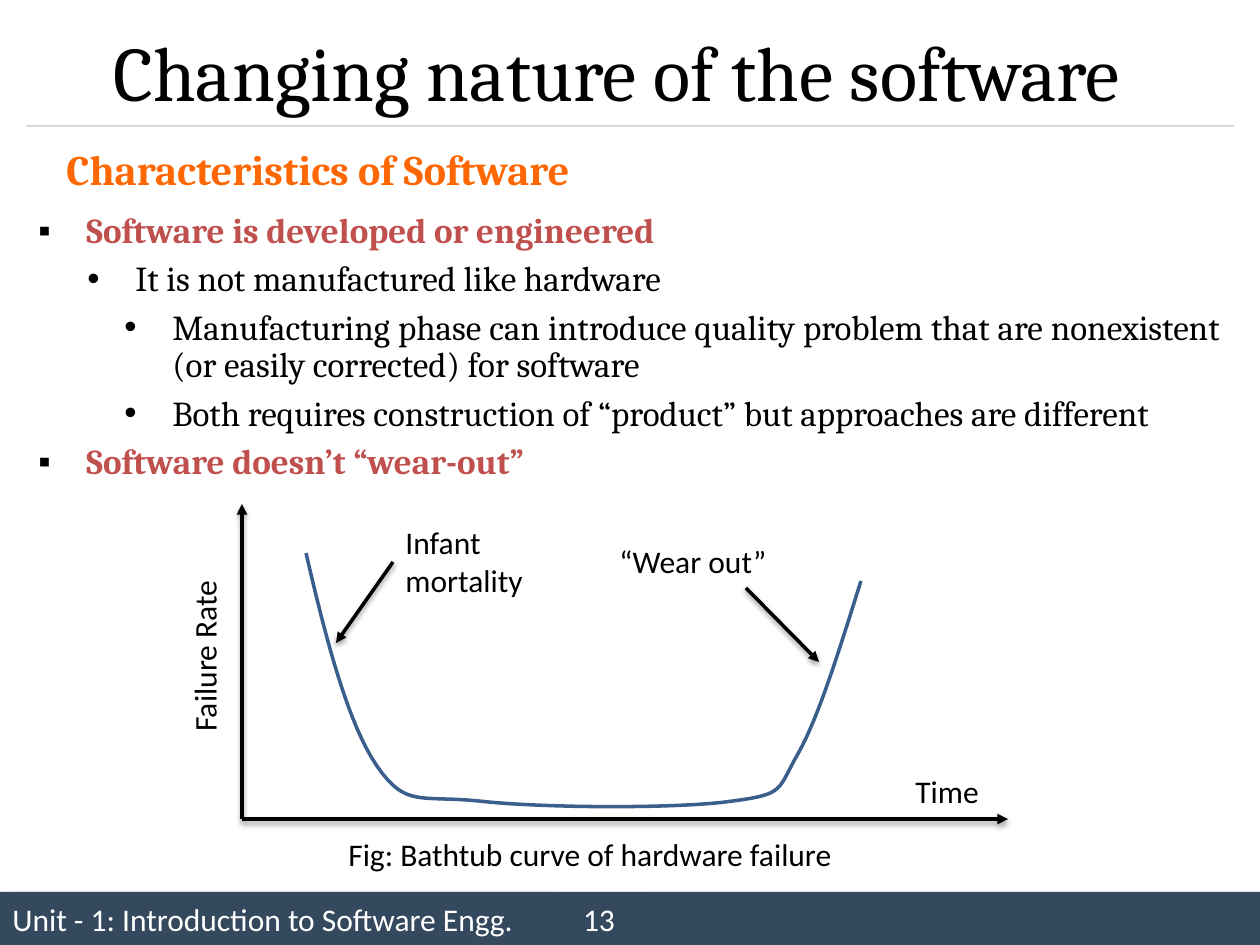
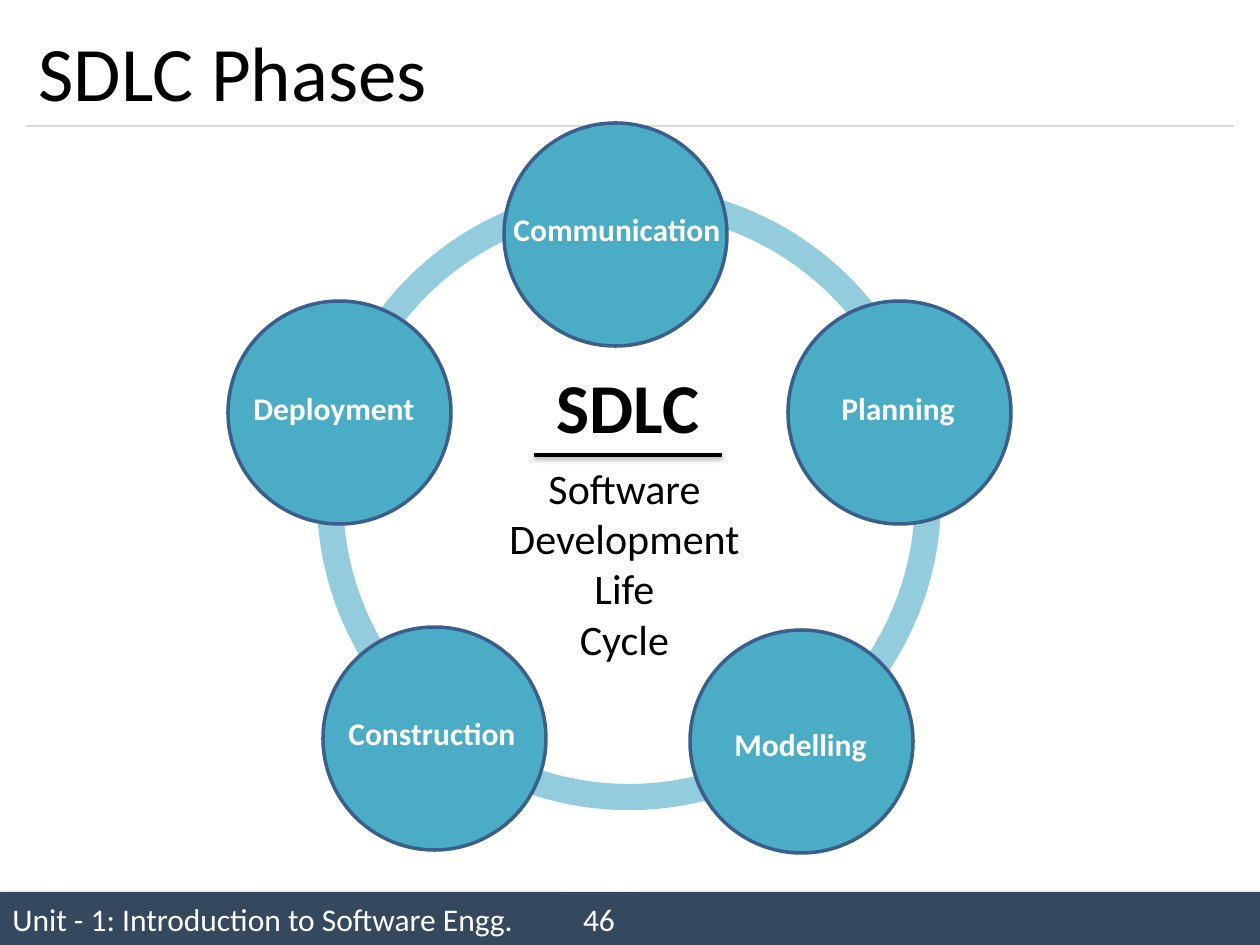
from lxml import etree
from pptx import Presentation, util as u
from pptx.dml.color import RGBColor
from pptx.enum import shapes as es, text as et
from pptx.oxml.ns import qn

BLACK, WHITE, NAVY, GREY = "000000", "FFFFFF", "34495E", "D9D9D9"
RED, ORANGE, TEAL, RING, BLUE = "C0504D", "FF6702", "4BACC6", "93CDDD", "3A5F8C"
LEFT, MID, JUST = et.PP_ALIGN.LEFT, et.PP_ALIGN.CENTER, et.PP_ALIGN.JUSTIFY

# Text formats: font values, plus a colour
PLAIN = dict(name="Calibri", size=u.Pt(18), color=BLACK)
LIGHT = dict(PLAIN, color=WHITE)
BOLD = dict(LIGHT, bold=True)
TITLE = dict(PLAIN, size=u.Pt(44))
SERIF = dict(PLAIN, name="Cambria", size=u.Pt(20))
POINT = dict(SERIF, bold=True, color=RED)
HEAD = dict(POINT, size=u.Pt(24), color=ORANGE)
LARGE = dict(PLAIN, size=u.Pt(24))
HUGE = dict(PLAIN, size=u.Pt(40), bold=True)

# Shadows: opacity in %, blur pt, distance pt, angle
SOFT, DROP = (40, 4, 3, 45), (38, 3.1, 1.6, 90)

UNIT = "Unit - 1: Introduction to Software Engg."
TITLE_BOX = (26, 15, 1207, 111)
FOOT_Y, FOOT_H = 892, 53
RULE = (26, 126, 1234, 126)

BODY_BOX = (26, 207, 1207, 286)
BODY = [
    (0, "Software is developed or engineered"),
    (1, "It is not manufactured like hardware"),
    (2, "Manufacturing phase can introduce quality problem that are nonexistent "
        "(or easily corrected) for software"),
    (2, "Both requires construction of “product” but approaches are different"),
    (0, "Software doesn’t “wear-out”"),
]
LEVELS = [("▪", 48, POINT), ("•", 97, SERIF), ("•", 134, SERIF)]
HANG = 48

ARROWS = [
    (242, 819, 242, 504),
    (242, 819, 1008, 819),
    (393, 562, 336, 643),
    (746, 588, 819, 662),
]
# Each later row is two handles and an end point
START = (306, 553)
CURVE = [
    ((326, 639), (348, 724), (377, 766)),
    ((406, 808), (420, 795), (479, 801)),
    ((538, 808), (680, 809), (733, 801)),
    ((786, 794), (777, 790), (799, 752)),
    ((819, 716), (840, 648), (861, 581)),
]
STEPS = 16
NOTES = [
    ((393, 517, 144, 89), ["Infant", "mortality"], PLAIN, 0),
    ((607, 536, 173, 50), ["“Wear out”"], PLAIN, 0),
    ((903, 766, 89, 50), ["Time"], PLAIN, 0),
    ((115, 630, 178, 50), ["Failure Rate"], PLAIN, 270),
    ((336, 829, 515, 50), ["Fig: Bathtub curve of hardware failure"], PLAIN, 0),
    ((54, 137, 547, 63), ["Characteristics of Software"], HEAD, 0),
]

DISC, LABEL_H = 223, 50
# Name, disc corner, label corner, label width
PHASES = [
    ("Communication", (504, 123), (501, 204), 234),
    ("Planning", (788, 301), (829, 383), 140),
    ("Modelling", (690, 630), (722, 719), 159),
    ("Construction", (323, 627), (336, 708), 194),
    ("Deployment", (228, 301), (241, 383), 188),
]
RING_BOX = (330, 199, 598, 598)
CENTRE = [
    ((543, 357, 170, 97), ["SDLC"], HUGE),
    ((493, 456, 263, 217), ["Software", "Development", "Life", "Cycle"], LARGE),
]
CENTRE_RULE = (534, 455, 722, 455)


def px(n):
    return u.Emu(round(n * 914400 / 126))


def rgb(code):
    return RGBColor.from_string(code)


def node(base, tag, **attrs):
    return etree.SubElement(base, qn(tag), {k: str(v) for k, v in attrs.items()})


def cast(shape, shade=None):
    """Replace the theme shadow with the given one, or with none."""
    props = shape.element.spPr
    old = props.find(qn("a:effectLst"))
    if old is not None:
        props.remove(old)
    fx = node(props, "a:effectLst")
    if shade:
        alpha, blur, dist, angle = shade
        out = node(fx, "a:outerShdw", blurRad=u.Pt(blur), dist=u.Pt(dist),
                   dir=angle * 60000, rotWithShape=0)
        node(node(out, "a:srgbClr", val=BLACK), "a:alpha", val=alpha * 1000)


def stroke(shape, color, width):
    shape.line.color.rgb = rgb(color)
    shape.line.width = u.Pt(width)


def line(slide, ends, color=BLACK, width=2, shade=None, arrow=False):
    con = slide.shapes.add_connector(es.MSO_CONNECTOR.STRAIGHT, *map(px, ends))
    stroke(con, color, width)
    if arrow:
        node(con.element.spPr.find(qn("a:ln")), "a:tailEnd", type="triangle")
    cast(con, shade)


def form(slide, kind, box, fill=None, edge=None, shade=None):
    shape = slide.shapes.add_shape(kind, *map(px, box))
    if fill:
        shape.fill.solid()
        shape.fill.fore_color.rgb = rgb(fill)
    else:
        shape.fill.background()
    if edge:
        stroke(shape, *edge)
    else:
        shape.line.fill.background()
    cast(shape, shade)
    return shape


def put(para, words, style, align=LEFT):
    para.alignment = align
    run = para.add_run()
    run.text = words
    for key, val in style.items():
        if key == "color":
            run.font.color.rgb = rgb(val)
        else:
            setattr(run.font, key, val)


def paras(frame, count):
    return [frame.paragraphs[0]] + [frame.add_paragraph() for _ in range(count - 1)]


def indent(para, margin, first):
    props = para._p.get_or_add_pPr()
    props.set("marL", str(px(margin)))
    props.set("indent", str(px(first)))
    return props


def label(slide, box, rows, style, align=LEFT, turn=0):
    shape = slide.shapes.add_textbox(*map(px, box))
    shape.rotation = turn
    frame = shape.text_frame
    frame.word_wrap = False
    frame.auto_size = et.MSO_AUTO_SIZE.SHAPE_TO_FIT_TEXT
    for para, row in zip(paras(frame, len(rows)), rows):
        put(para, row, style, align)


def page(deck, title, number, font="Calibri", margin=0, first=0):
    """Add a slide with its footer bands, rule and title."""
    slide = deck.slides.add_slide(deck.slide_layouts[6])
    bands = [(0, 557, UNIT, LEFT, SOFT), (640, 620, "", LEFT, SOFT),
             (557, 84, str(number), MID, None)]
    for x, wide, words, align, shade in bands:
        band = form(slide, es.MSO_SHAPE.RECTANGLE, (x, FOOT_Y, wide, FOOT_H),
                    NAVY, shade=shade)
        if words:
            band.text_frame.vertical_anchor = et.MSO_ANCHOR.MIDDLE
            put(band.text_frame.paragraphs[0], words, LIGHT, align)
    line(slide, RULE, GREY, 0.75)
    frame = slide.shapes.add_textbox(*map(px, TITLE_BOX)).text_frame
    frame.word_wrap = True
    frame.vertical_anchor = et.MSO_ANCHOR.MIDDLE
    put(frame.paragraphs[0], title, dict(TITLE, name=font))
    indent(frame.paragraphs[0], margin, first)
    return slide


def bullets(slide):
    frame = slide.shapes.add_textbox(*map(px, BODY_BOX)).text_frame
    frame.word_wrap = True
    for para, (level, words) in zip(paras(frame, len(BODY)), BODY):
        mark, margin, style = LEVELS[level]
        put(para, words, style, JUST)
        para.level = level
        para.line_spacing = 0.9
        para.space_before = u.Pt(6)
        props = indent(para, margin, -HANG)
        node(node(props, "a:buClr"), "a:srgbClr", val=BLACK)
        node(props, "a:buFont", typeface="Arial")
        node(props, "a:buChar", char=mark)


def bend(a, b, c, d):
    """Points along a cubic curve from a to d, with handles b and c."""
    for i in range(1, STEPS + 1):
        t = i / STEPS
        s = 1 - t
        yield tuple(px(s**3 * p + 3 * s * s * t * q + 3 * s * t * t * r + t**3 * e)
                    for p, q, r, e in zip(a, b, c, d))


def bathtub(slide):
    dots, last = [], START
    for b, c, d in CURVE:
        dots += bend(last, b, c, d)
        last = d
    pen = slide.shapes.build_freeform(*map(px, START))
    pen.add_line_segments(dots, close=False)
    curve = pen.convert_to_shape()
    curve.fill.background()
    stroke(curve, BLUE, 2)
    cast(curve)


def nature(deck):
    slide = page(deck, "Changing nature of the software", 13, "Cambria", 135, -60)
    bullets(slide)
    for ends in ARROWS:
        line(slide, ends, shade=DROP, arrow=True)
    bathtub(slide)
    for box, rows, style, turn in NOTES:
        label(slide, box, rows, style, turn=turn)


def phases(deck):
    slide = page(deck, "SDLC Phases", 46)
    oval = es.MSO_SHAPE.OVAL
    form(slide, oval, RING_BOX, edge=(RING, 15))
    for name, disc, corner, wide in PHASES:
        form(slide, oval, (*disc, DISC, DISC), TEAL, (BLUE, 2))
        label(slide, (*corner, wide, LABEL_H), [name], BOLD)
    for box, rows, style in CENTRE:
        label(slide, box, rows, style, MID)
    line(slide, CENTRE_RULE, shade=DROP)


def main():
    deck = Presentation()
    deck.slide_width, deck.slide_height = px(1260), px(945)
    nature(deck)
    phases(deck)
    deck.save("out.pptx")


if __name__ == "__main__":
    main()
